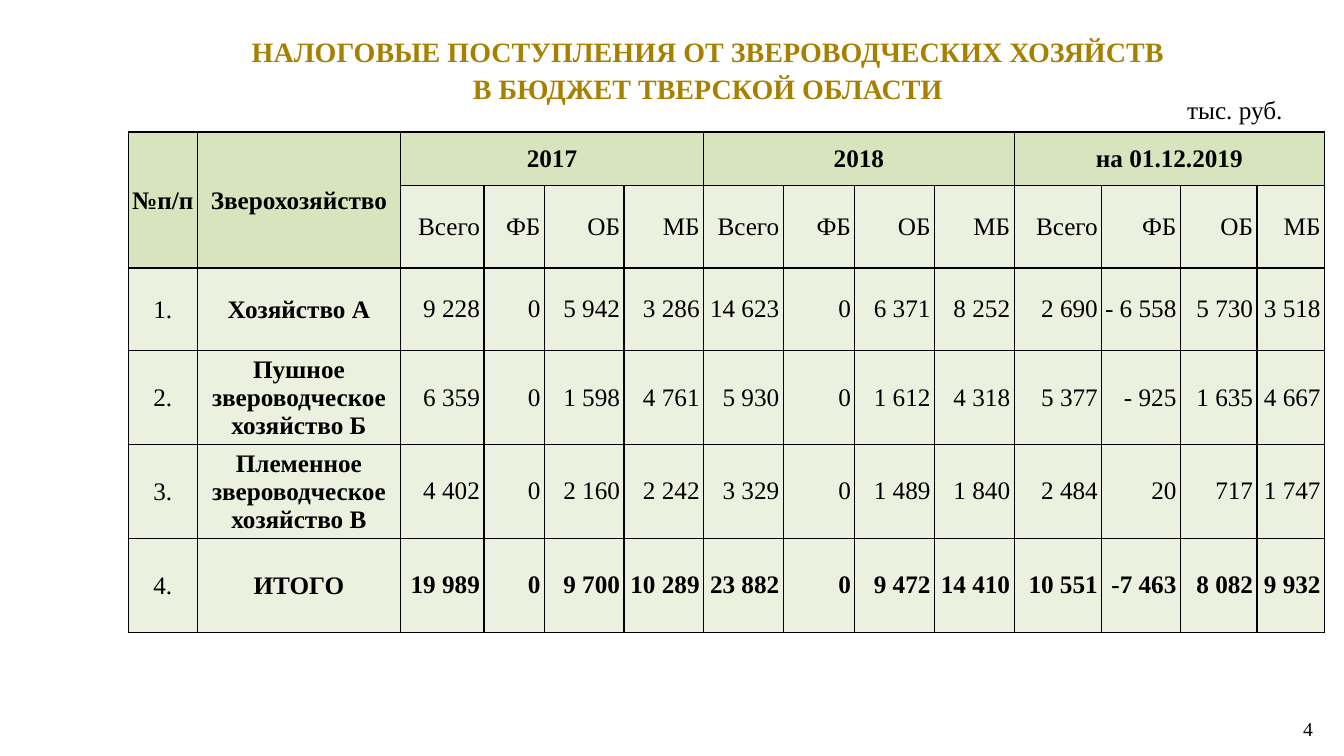
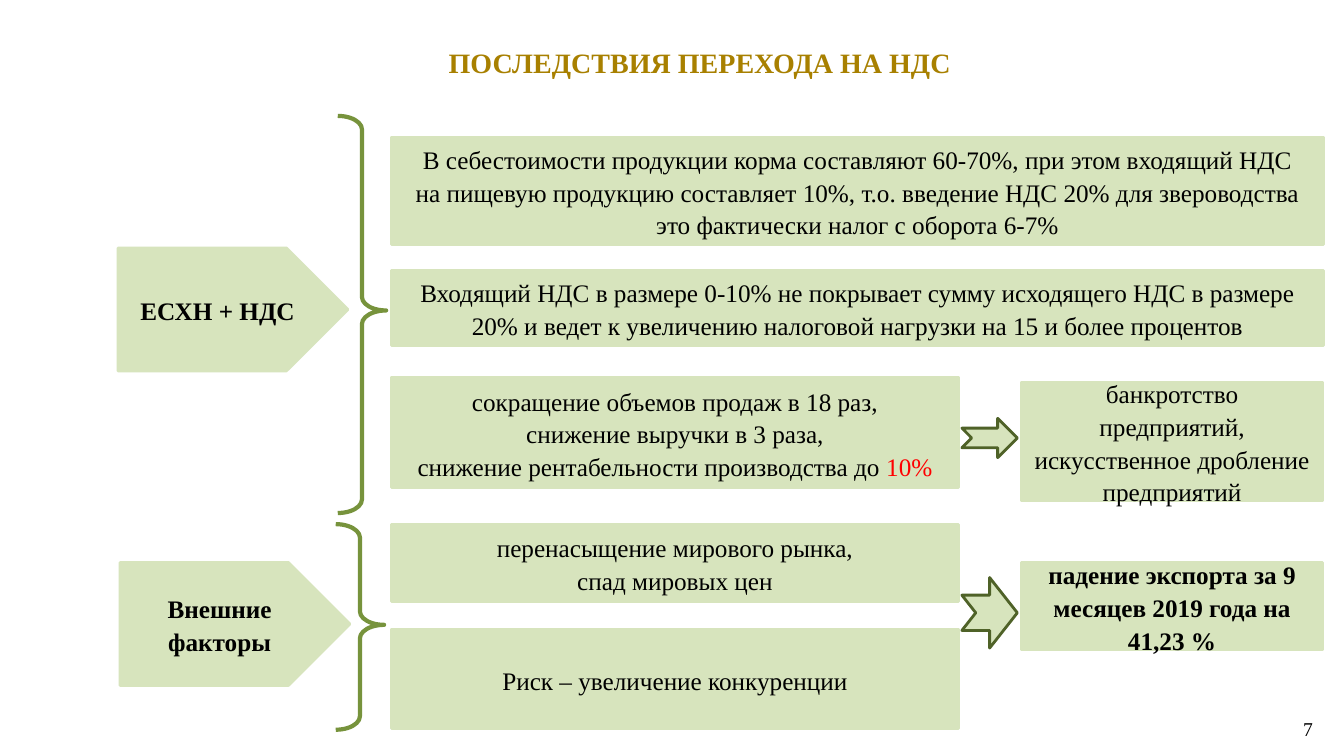
from dataclasses import dataclass

from lxml import etree
from pptx import Presentation
from pptx.dml.color import RGBColor
from pptx.enum.shapes import MSO_SHAPE
from pptx.enum.text import MSO_ANCHOR, MSO_AUTO_SIZE, PP_ALIGN
from pptx.oxml.ns import qn
from pptx.util import Inches, Pt

LEFT, CENTER, RIGHT = PP_ALIGN.LEFT, PP_ALIGN.CENTER, PP_ALIGN.RIGHT
TOP, MIDDLE = MSO_ANCHOR.TOP, MSO_ANCHOR.MIDDLE
RECTANGLE, PENTAGON = MSO_SHAPE.RECTANGLE, MSO_SHAPE.PENTAGON
BRACE, ARROW = MSO_SHAPE.RIGHT_BRACE, MSO_SHAPE.NOTCHED_RIGHT_ARROW
TITLE_ONLY = 5


@dataclass(frozen=True)
class Theme:
    font: str = "Times New Roman"
    gold: str = "A88000"
    black: str = "000000"
    red: str = "FF0000"
    green: str = "D7E4BD"
    pale: str = "EBF1DE"
    brace: str = "77933C"
    arrow: str = "4F6228"
    title_size: int = 20
    body_size: int = 18
    number_size: int = 14
    spacing: float = 1.08


THEME = Theme()

# Slide 1: tax receipts
TAX_TITLE = ["НАЛОГОВЫЕ ПОСТУПЛЕНИЯ ОТ ЗВЕРОВОДЧЕСКИХ ХОЗЯЙСТВ", "В БЮДЖЕТ ТВЕРСКОЙ ОБЛАСТИ"]
UNIT = "тыс. руб."
ROW_HEADS = ["№п/п", "Зверохозяйство"]
YEARS = ["2017", "2018", "на 01.12.2019"]
BUDGETS = ["Всего", "ФБ", "ОБ", "МБ"]
FARMS = [
    ("Хозяйство А", ["9 228", "0", "5 942", "3 286", "14 623", "0", "6 371", "8 252",
                     "2 690", "- 6 558", "5 730", "3 518"]),
    ("Пушное звероводческое хозяйство Б", ["6 359", "0", "1 598", "4 761", "5 930", "0", "1 612",
                                           "4 318", "5 377", "- 925", "1 635", "4 667"]),
    ("Племенное звероводческое хозяйство В", ["4 402", "0", "2 160", "2 242", "3 329", "0", "1 489",
                                              "1 840", "2 484", "20", "717", "1 747"]),
    ("ИТОГО", ["19 989", "0", "9 700", "10 289", "23 882", "0", "9 472", "14 410",
               "10 551", "-7 463", "8 082", "9 932"]),
]
COLUMN_WIDTHS = [0.69, 2.01, 0.83, 0.6, 0.79, 0.79, 0.79, 0.71, 0.79, 0.79, 0.87, 0.78, 0.76, 0.67]
ROW_HEIGHTS = [0.53, 0.82, 0.82, 0.93, 0.93, 0.93]

# Slide 2: consequences of VAT; a paragraph is a string or a list of (text, colour) spans
VAT_TITLE = ["ПОСЛЕДСТВИЯ ПЕРЕХОДА НА НДС"]
CAUSE_X, CAUSE_W = 3.88, 5.63
EFFECT_X, EFFECT_W = 10.13, 2.99
FULL_W = 9.25
PANELS = [
    ((CAUSE_X, 1.36, FULL_W, 1.07), False,
     ["В себестоимости продукции корма составляют 60-70%, при этом входящий НДС",
      "на пищевую продукцию составляет 10%, т.о. введение НДС 20% для звероводства "
      "это фактически налог с оборота 6-7%"]),
    ((CAUSE_X, 2.68, FULL_W, 0.75), False,
     ["Входящий НДС в размере 0-10% не покрывает сумму исходящего НДС в размере",
      "20% и ведет к увеличению налоговой нагрузки на 15 и более процентов"]),
    ((CAUSE_X, 3.74, CAUSE_W, 1.1), False,
     ["сокращение объемов продаж в 18 раз,", "снижение выручки в 3 раза,",
      [("снижение рентабельности производства до ", THEME.black), ("10%", THEME.red)]]),
    ((CAUSE_X, 5.2, CAUSE_W, 0.77), False, ["перенасыщение мирового рынка,", "спад мировых цен"]),
    ((CAUSE_X, 6.24, CAUSE_W, 0.99), False, ["Риск – увеличение конкуренции"]),
    ((EFFECT_X, 3.79, EFFECT_W, 1.18), False,
     ["банкротство предприятий, искусственное дробление предприятий"]),
    ((EFFECT_X, 5.58, EFFECT_W, 0.87), True, ["падение экспорта за 9 месяцев 2019 года на 41,23 %"]),
]
SOURCES = [((1.17, 2.46, 2.28, 1.22), ["ЕСХН + НДС"]),
           ((1.19, 5.58, 2.28, 1.22), ["Внешние факторы"])]
BRACES = [(3.35, 1.15, 0.48, 3.94), (3.33, 5.2, 0.48, 2.04)]
ARROWS = [(9.54, 4.15, 0.55, 0.39), (9.54, 5.73, 0.55, 0.7)]


def color(value):
    return RGBColor.from_string(value)


def place(at):
    return [Inches(length) for length in at]


def write(frame, paragraphs, size=THEME.body_size, ink=THEME.black, bold=False,
          align=CENTER, anchor=MIDDLE, wrap=True, spacing=1.0):
    frame.word_wrap = wrap
    frame.vertical_anchor = anchor
    for index, content in enumerate(paragraphs):
        para = frame.add_paragraph() if index else frame.paragraphs[0]
        para.alignment = align
        para.line_spacing = spacing
        for text, tint in [(content, ink)] if isinstance(content, str) else content:
            span = para.add_run()
            span.text = text
            span.font.name = THEME.font
            span.font.size = Pt(size)
            span.font.bold = bold
            span.font.color.rgb = color(tint)


def add_text(page, at, text, **style):
    box = page.shapes.add_textbox(*place(at))
    write(box.text_frame, [text], align=RIGHT, anchor=TOP, **style)


def add_page(deck, title, title_at, number):
    page = deck.slides.add_slide(deck.slide_layouts[TITLE_ONLY])
    heading = page.shapes.title
    heading.left, heading.top, heading.width, heading.height = place(title_at)
    heading.text_frame.auto_size = MSO_AUTO_SIZE.NONE
    write(heading.text_frame, title, size=THEME.title_size, ink=THEME.gold, bold=True,
          spacing=THEME.spacing)
    add_text(page, (10.64, 7.06, 2.48, 0.34), number, size=THEME.number_size)
    return page


def add_figure(page, kind, at, line, width=2, fill=THEME.green):
    figure = page.shapes.add_shape(kind, *place(at))
    figure.shadow.inherit = False
    if fill:
        figure.fill.solid()
        figure.fill.fore_color.rgb = color(fill)
    else:
        figure.fill.background()
    figure.line.color.rgb = color(line)
    figure.line.width = Pt(width)
    return figure


def set_borders(cell, widths):
    """Draw cell edges; widths maps L, R, T and B to points, in that order."""
    properties = cell._tc.get_or_add_tcPr()
    for position, (side, width) in enumerate(widths.items()):
        edge = etree.Element(qn(f"a:ln{side}"), w=str(Pt(width)))
        fill = etree.SubElement(edge, qn("a:solidFill"))
        etree.SubElement(fill, qn("a:srgbClr"), val=THEME.black)
        properties.insert(position, edge)


def border_widths(row, column, height, width):
    """Outer verticals and those after the names are thin, as are lines below the header."""
    thin_verticals = (0, 2, len(COLUMN_WIDTHS))

    def vertical(index):
        return 0.5 if index in thin_verticals else 1

    def horizontal(index):
        return 1 if index <= 2 else 0.5

    return {"L": vertical(column), "R": vertical(column + width),
            "T": horizontal(row), "B": horizontal(row + height)}


def fill_cell(table, row, column, text, height=1, width=1, fill=THEME.pale, **style):
    cell = table.cell(row, column)
    if height > 1 or width > 1:
        cell.merge(table.cell(row + height - 1, column + width - 1))
    is_number = style.get("align") == RIGHT
    cell.margin_left = cell.margin_top = Inches(0 if is_number else 0.01)
    cell.margin_right = Inches(0.04 if is_number else 0.01)
    cell.margin_bottom = 0
    cell.vertical_anchor = MIDDLE
    write(cell.text_frame, [text], **style)
    widths = border_widths(row, column, height, width)
    for r in range(row, row + height):
        for c in range(column, column + width):
            part = table.cell(r, c)
            part.fill.solid()
            part.fill.fore_color.rgb = color(fill)
            outer = {"L": c == column, "R": c == column + width - 1,
                     "T": r == row, "B": r == row + height - 1}
            is_origin = (r, c) == (row, column)
            set_borders(part, {side: points for side, points in widths.items()
                               if is_origin or outer[side]})


def add_tax_table(page):
    at = (1.27, 1.31, sum(COLUMN_WIDTHS), sum(ROW_HEIGHTS))
    table = page.shapes.add_table(len(ROW_HEIGHTS), len(COLUMN_WIDTHS), *place(at)).table
    for column, width in zip(table.columns, COLUMN_WIDTHS):
        column.width = Inches(width)
    for row, height in zip(table.rows, ROW_HEIGHTS):
        row.height = Inches(height)

    first_value, group = len(ROW_HEADS), len(BUDGETS)
    for column, text in enumerate(ROW_HEADS):
        fill_cell(table, 0, column, text, height=2, fill=THEME.green, bold=True)
    for index, year in enumerate(YEARS):
        start = first_value + index * group
        fill_cell(table, 0, start, year, width=group, fill=THEME.green, bold=True)
        for offset, budget in enumerate(BUDGETS):
            fill_cell(table, 1, start + offset, budget, align=RIGHT)
    for index, (farm, values) in enumerate(FARMS):
        row = index + 2
        is_total = index == len(FARMS) - 1
        fill_cell(table, row, 0, f"{index + 1}.")
        fill_cell(table, row, 1, farm, bold=True)
        for column, value in enumerate(values, first_value):
            fill_cell(table, row, column, value, align=RIGHT, bold=is_total)


def build_tax_page(deck):
    page = add_page(deck, TAX_TITLE, (1.27, 0.12, 11.5, 1.12), "4")
    add_text(page, (11.66, 0.89, 1.16, 0.4), UNIT, wrap=False)
    add_tax_table(page)


def build_vat_page(deck):
    page = add_page(deck, VAT_TITLE, (1.19, 0.04, 11.5, 1.12), "7")
    for at, bold, paragraphs in PANELS:
        panel = add_figure(page, RECTANGLE, at, THEME.green)
        write(panel.text_frame, paragraphs, bold=bold, spacing=THEME.spacing)
    for at, paragraphs in SOURCES:
        source = add_figure(page, PENTAGON, at, THEME.green)
        write(source.text_frame, paragraphs, bold=True, spacing=THEME.spacing)
    for at in BRACES:
        brace = add_figure(page, BRACE, at, THEME.brace, width=3, fill=None)
        brace.adjustments[0], brace.adjustments[1] = 0.28, 0.49
    for at in ARROWS:
        add_figure(page, ARROW, at, THEME.arrow)


def main():
    deck = Presentation()
    deck.slide_width, deck.slide_height = Inches(13.33), Inches(7.5)
    build_tax_page(deck)
    build_vat_page(deck)
    deck.save("out.pptx")


if __name__ == "__main__":
    main()
